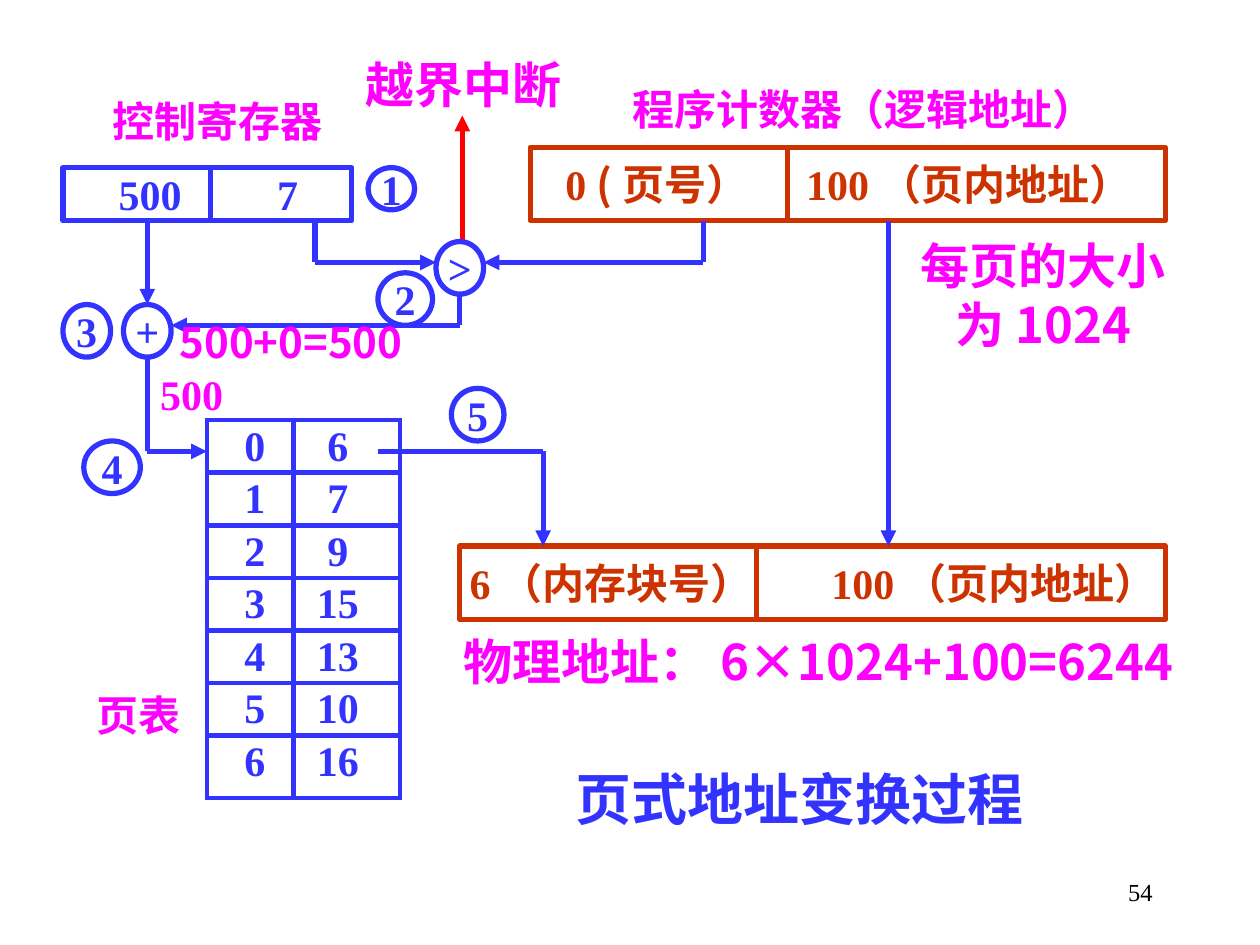
from itertools import pairwise

from lxml.etree import SubElement
from pptx import Presentation
from pptx.dml.color import RGBColor
from pptx.enum.shapes import MSO_CONNECTOR, MSO_SHAPE
from pptx.enum.text import MSO_ANCHOR, PP_ALIGN
from pptx.oxml.ns import qn
from pptx.util import Cm, Pt

COLORS = {"blue": "3333FF", "orange": "CC3300", "pink": "FF00FF",
          "red": "FF0000", "black": "000000", "white": "FFFFFF"}
SERIF, SANS = "Times New Roman", "Noto Sans CJK SC"
LINE_WIDTH = Pt(3)

# Registers: box, divider x, colour, text start, tab distance, text runs
REGISTERS = [
    ((1.27, 3.38, 5.82, 1.07), 4.24, "blue", 1.12, 3.2, [("500\t7", SERIF)]),
    ((10.69, 2.97, 12.8, 1.48), 15.88, "orange", 0.71, 4.85,
     [("0 ", SERIF), ("(", SANS), ("页号）\t100（页内地址）", SERIF)]),
    ((9.27, 11.01, 14.22, 1.48), 15.25, "orange", 0.2, 7.29,
     [("6", SERIF), ("（", SANS), ("内存块号）\t100（页内地址）", SERIF)]),
]

# Page table: page number, block number
PAGE_TABLE = [(0, 6), (1, 7), (2, 9), (3, 15), (4, 13), (5, 10), (6, 16)]
TABLE_BOX = (4.17, 8.47, 3.89, 7.62)
COLUMN_WIDTHS = (1.75, 2.14)
ROW_HEIGHT = 1.06

# Wires: colour, corner points; the last point carries the arrowhead
WIRES = [
    ("blue", [(6.35, 4.45), (6.35, 5.29), (8.79, 5.29)]),
    ("blue", [(14.18, 4.45), (14.18, 5.29), (9.75, 5.29)]),
    ("blue", [(2.97, 4.45), (2.97, 6.14)]),
    ("blue", [(9.27, 5.93), (9.27, 6.56), (3.45, 6.56)]),
    ("blue", [(2.97, 7.2), (2.97, 9.1), (4.17, 9.1)]),
    ("blue", [(7.62, 9.1), (10.95, 9.1), (10.95, 11.01)]),
    ("blue", [(17.91, 4.45), (17.91, 11.01)]),
    ("red", [(9.32, 4.87), (9.32, 2.33)]),
]

# Operators and step numbers
CIRCLES = [
    (">", (8.79, 4.87, 0.96, 1.06)),
    ("+", (2.49, 6.14, 0.96, 1.06)),
    ("1", (7.42, 3.38, 0.94, 0.85)),
    ("2", (7.62, 5.5, 1.1, 1.06)),
    ("3", (1.27, 6.14, 0.96, 1.06)),
    ("4", (1.69, 8.89, 1.14, 1.06)),
    ("5", (9.1, 7.83, 1.06, 1.06)),
]

# Labels: box, paragraphs of runs, format values that differ from the usual
LABELS = [
    ((0.89, 13.77, 3.81, 1.27), [[("页表", SERIF)]], {}),
    ((9.32, 15.04, 13.59, 2.11), [[("页式地址变换过程", SERIF)]],
     {"size": 32, "color": "blue"}),
    ((1.09, 1.9, 6.6, 1.06), [[("控制寄存器", SERIF)]], {}),
    ((12.7, 1.45, 10.6, 1.48), [[("程序计数器（逻辑地址）", SERIF)]],
     {"align": PP_ALIGN.LEFT}),
    ((3.18, 7.41, 1.37, 1.06), [[("500", SERIF)]], {}),
    ((18.11, 4.72, 5.84, 2.44), [[("每页的大小", SANS)], [("为1024", SANS)]],
     {"size": 28}),
    ((8.9, 12.7, 15.2, 1.25),
     [[("物理地址：", SERIF), ("6×1024+100=6244", SANS)]], {"size": 28}),
    ((3.43, 6.35, 4.88, 1.06), [[("500+0=500", SANS)]], {}),
    ((6.98, 1.07, 4.72, 1.25), [[("越界中断", SERIF)]], {"size": 28}),
    ((18.21, 17.35, 5.08, 1.27), [[("54", SERIF)]],
     {"size": 14, "color": "black", "bold": False, "align": PP_ALIGN.RIGHT}),
]


def rgb(color):
    return RGBColor.from_string(COLORS[color])


def lengths(values):
    return [Cm(value) for value in values]


def fill_paragraph(paragraph, runs, color, size=24, bold=True,
                   align=PP_ALIGN.CENTER):
    paragraph.alignment = align
    for text, font_name in runs:
        run = paragraph.add_run()
        run.text = text
        values = {"name": font_name, "size": Pt(size), "bold": bold}
        for name, value in values.items():
            setattr(run.font, name, value)
        run.font.color.rgb = rgb(color)
        east_asian = SubElement(run._r.get_or_add_rPr(), qn("a:ea"))
        east_asian.set("typeface", SANS)


def prepare_frame(frame, wrap=False, left=0.05):
    values = {"word_wrap": wrap, "vertical_anchor": MSO_ANCHOR.MIDDLE,
              "margin_left": Cm(left), "margin_right": Cm(0.05),
              "margin_top": Cm(0.03), "margin_bottom": Cm(0.03)}
    for name, value in values.items():
        setattr(frame, name, value)


def add_outline(slide, preset, box, color):
    shape = slide.shapes.add_shape(preset, *lengths(box))
    shape.shadow.inherit = False
    shape.fill.solid()
    shape.fill.fore_color.rgb = rgb("white")
    shape.line.color.rgb = rgb(color)
    shape.line.width = LINE_WIDTH
    return shape


def add_line(slide, start, end, color, arrow=False):
    connector = slide.shapes.add_connector(
        MSO_CONNECTOR.STRAIGHT, *lengths(start + end))
    connector.line.color.rgb = rgb(color)
    connector.line.width = LINE_WIDTH
    if arrow:
        SubElement(connector.get_or_add_ln(), qn("a:tailEnd"), type="triangle")
    SubElement(connector._element.spPr, qn("a:effectLst"))


def add_register(slide, box, divider, color, start, tab, runs):
    shape = add_outline(slide, MSO_SHAPE.RECTANGLE, box, color)
    prepare_frame(shape.text_frame, wrap=True, left=start)
    paragraph = shape.text_frame.paragraphs[0]
    properties = paragraph._p.get_or_add_pPr()
    tabs = SubElement(properties, qn("a:tabLst"))
    SubElement(tabs, qn("a:tab"), pos=str(Cm(tab)), algn="l")
    fill_paragraph(paragraph, runs, color, align=PP_ALIGN.LEFT)
    top, bottom = box[1], box[1] + box[3]
    add_line(slide, (divider, top), (divider, bottom), color)


def add_page_table(slide):
    table = slide.shapes.add_table(
        len(PAGE_TABLE), len(COLUMN_WIDTHS), *lengths(TABLE_BOX)).table
    table.first_row = table.horz_banding = False
    for column, width in zip(table.columns, COLUMN_WIDTHS):
        column.width = Cm(width)
    for row in table.rows:
        row.height = Cm(ROW_HEIGHT)
    # The last row takes what is left of the height
    table.rows[len(PAGE_TABLE) - 1].height = Cm(
        TABLE_BOX[3] - ROW_HEIGHT * (len(PAGE_TABLE) - 1))
    for row_index, entries in enumerate(PAGE_TABLE):
        for column_index, entry in enumerate(entries):
            cell = table.cell(row_index, column_index)
            values = {"margin_left": Cm(0.18 * (1 - column_index)),
                      "margin_right": Cm(0.36 * column_index),
                      "margin_top": Cm(0.07), "margin_bottom": 0,
                      "vertical_anchor": MSO_ANCHOR.TOP}
            for name, value in values.items():
                setattr(cell, name, value)
            fill_paragraph(cell.text_frame.paragraphs[0],
                           [(str(entry), SERIF)], "blue")
            properties = cell._tc.get_or_add_tcPr()
            for side in ("lnL", "lnR", "lnT", "lnB"):
                border = SubElement(properties, qn(f"a:{side}"), w=str(LINE_WIDTH))
                fill = SubElement(border, qn("a:solidFill"))
                SubElement(fill, qn("a:srgbClr"), val=COLORS["blue"])
            cell.fill.solid()
            cell.fill.fore_color.rgb = rgb("white")


def main():
    presentation = Presentation()
    presentation.slide_width, presentation.slide_height = Cm(25.4), Cm(19.05)
    slide = presentation.slides.add_slide(presentation.slide_layouts[6])

    for register in REGISTERS:
        add_register(slide, *register)
    add_page_table(slide)

    # Wires between the parts
    for color, points in WIRES:
        for start, end in pairwise(points):
            add_line(slide, start, end, color, arrow=end == points[-1])

    for text, box in CIRCLES:
        circle = add_outline(slide, MSO_SHAPE.OVAL, box, "blue")
        prepare_frame(circle.text_frame)
        fill_paragraph(circle.text_frame.paragraphs[0], [(text, SERIF)], "blue")

    # Captions, results and page number
    for box, paragraphs, changes in LABELS:
        frame = slide.shapes.add_textbox(*lengths(box)).text_frame
        prepare_frame(frame)
        for index, runs in enumerate(paragraphs):
            paragraph = frame.add_paragraph() if index else frame.paragraphs[0]
            fill_paragraph(paragraph, runs, **{"color": "pink", **changes})

    presentation.save("out.pptx")


if __name__ == "__main__":
    main()
